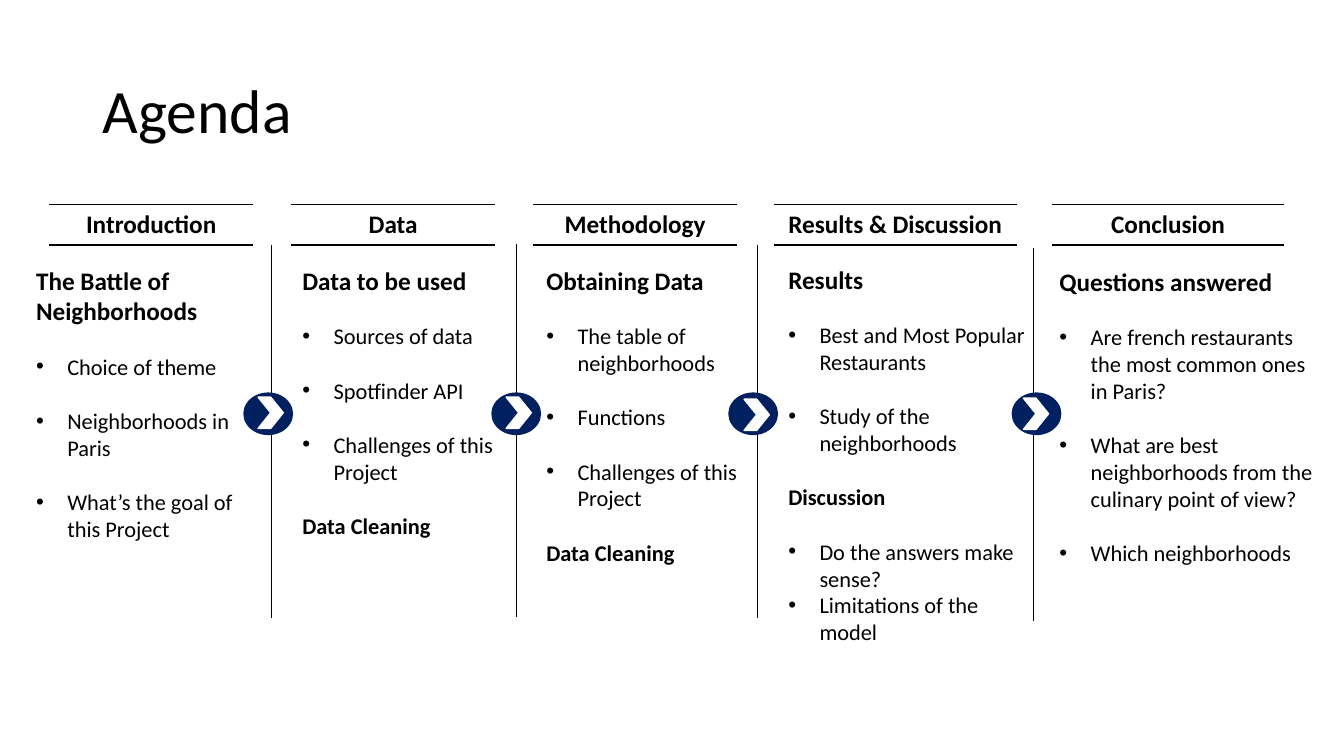
import pptx
import pptx.dml.color
import pptx.enum.shapes
import pptx.enum.text
import pptx.oxml
import pptx.oxml.ns
import pptx.util
from lxml import etree

Inches = pptx.util.Inches
Pt = pptx.util.Pt
RGBColor = pptx.dml.color.RGBColor
Shape = pptx.enum.shapes.MSO_SHAPE
Align = pptx.enum.text.PP_ALIGN
Anchor = pptx.enum.text.MSO_ANCHOR
qn = pptx.oxml.ns.qn

BLACK = RGBColor(0x00, 0x00, 0x00)
WHITE = RGBColor(0xFF, 0xFF, 0xFF)
NAVY = RGBColor(0x00, 0x20, 0x60)

HEAD, BULLET, SUBHEAD = "head", "bullet", "subhead"
GAP = 19.5  # one line of 16 pt text
FORMATS = {
    HEAD: dict(size=18, bold=True),
    BULLET: dict(size=16, bullet=True, before=GAP),
    SUBHEAD: dict(size=16, bold=True, before=GAP),
}

# heading, heading left and width, body (left, top, width, height), body lines
COLUMNS = [
    ("Introduction", 0.48, 2.04, (0.26, 2.58, 2.43, 3.4), [
        (HEAD, "The Battle of Neighborhoods"),
        (BULLET, "Choice of theme"),
        (BULLET, "Neighborhoods in Paris"),
        (BULLET, "What’s the goal of this Project")]),
    ("Data", 2.88, 2.04, (2.9, 2.58, 2.22, 4.17), [
        (HEAD, "Data to be used"),
        (BULLET, "Sources of data"),
        (BULLET, "Spotfinder API"),
        (BULLET, "Challenges of this Project"),
        (SUBHEAD, "Data Cleaning")]),
    ("Methodology", 5.28, 2.04, (5.32, 2.58, 2.18, 4.44), [
        (HEAD, "Obtaining Data"),
        (BULLET, "The table of neighborhoods"),
        (BULLET, "Functions"),
        (BULLET, "Challenges of this Project"),
        (SUBHEAD, "Data Cleaning")]),
    ("Results & Discussion", 7.67, 2.42, (7.72, 2.57, 2.56, 4.6), [
        (HEAD, "Results"),
        (BULLET, "Best and Most Popular Restaurants"),
        (BULLET, "Study of the neighborhoods"),
        (SUBHEAD, "Discussion"),
        (BULLET, "Do the answers make sense?"),
        (BULLET, "Limitations of the model", dict(before=0))]),
    ("Conclusion", 10.43, 2.31, (10.41, 2.59, 2.73, 4.17), [
        (HEAD, "Questions answered"),
        (BULLET, "Are french restaurants the most common ones in Paris?"),
        (BULLET, "What are best neighborhoods from the culinary point of view?"),
        (BULLET, "Which neighborhoods")]),
]

# divider x and top, ellipse left, chevron left and top
STEPS = [
    (2.69, 2.43, 2.42, 2.56, 3.94),
    (5.12, 2.42, 4.88, 5.02, 3.94),
    (7.51, 2.43, 7.23, 7.38, 3.96),
    (10.25, 2.46, 10.04, 10.15, 3.95),
]


def write(paragraph, text, size=16, bold=False, bullet=False, before=0,
          align=Align.LEFT, spacing=1.0, font="Calibri", color=BLACK):
    run = paragraph.add_run()
    run.text = text
    run.font.name = font
    run.font.size = Pt(size)
    run.font.bold = bold
    run.font.color.rgb = color
    paragraph.alignment = align
    paragraph.line_spacing = spacing
    paragraph.space_before = Pt(before)
    if bullet:
        properties = paragraph._p.get_or_add_pPr()
        properties.set("marL", str(Inches(0.31)))
        properties.set("indent", str(-Inches(0.31)))
        etree.SubElement(properties, qn("a:buFont"), typeface="Arial")
        etree.SubElement(properties, qn("a:buChar"), char="•")


class AgendaSlide:
    def __init__(self, slide, ink=BLACK, paper=WHITE, accent=NAVY):
        self.shapes = slide.shapes
        self.ink, self.paper, self.accent = ink, paper, accent

    def text(self, box, lines, anchor=Anchor.TOP):
        """Add a text box; each line is its text and its format."""
        frame = self.shapes.add_textbox(*map(Inches, box)).text_frame
        frame.word_wrap = True
        frame.vertical_anchor = anchor
        for number, (words, style) in enumerate(lines):
            paragraph = frame.add_paragraph() if number else frame.paragraphs[0]
            write(paragraph, words, **style)

    def heading(self, words, left, width):
        """Add a one-cell table ruled above and below."""
        table = self.shapes.add_table(
            1, 1, Inches(left), Inches(2.03), Inches(width), Inches(0.4)).table
        table.first_row = table.horz_banding = False
        cell = table.cell(0, 0)
        write(cell.text_frame.paragraphs[0], words, size=18, bold=True,
              align=Align.CENTER)
        properties = cell._tc.get_or_add_tcPr()
        for side, color in zip("LRTB", [self.paper] * 2 + [self.ink] * 2):
            border = etree.SubElement(properties, qn(f"a:ln{side}"), w=str(Pt(1)))
            fill = etree.SubElement(border, qn("a:solidFill"))
            etree.SubElement(fill, qn("a:srgbClr"), val=str(color))
        cell.fill.solid()
        cell.fill.fore_color.rgb = self.paper

    def divider(self, x, top):
        line = self.shapes.add_connector(
            pptx.enum.shapes.MSO_CONNECTOR.STRAIGHT,
            Inches(x), Inches(top), Inches(x), Inches(top + 3.7))
        line.line.color.rgb = self.ink
        line.line.width = Pt(0.5)
        etree.SubElement(line._element.spPr, qn("a:effectLst"))

    def shape(self, kind, box, color):
        shape = self.shapes.add_shape(kind, *map(Inches, box))
        shape.shadow.inherit = False
        shape.fill.solid()
        shape.fill.fore_color.rgb = color
        shape.line.color.rgb = color
        shape.line.width = Pt(1)

    def arrow_badge(self, left, chevron_left, chevron_top):
        self.shape(Shape.OVAL, (left, 3.9, 0.48, 0.41), self.accent)
        self.shape(Shape.CHEVRON, (chevron_left, chevron_top, 0.25, 0.31), self.paper)


def main():
    deck = pptx.Presentation()
    deck.slide_width, deck.slide_height = Inches(13.33), Inches(7.5)
    agenda = AgendaSlide(deck.slides.add_slide(deck.slide_layouts[6]))

    agenda.text((0.92, 0.4, 11.5, 1.45),
                [("Agenda", dict(size=44, spacing=0.9))], Anchor.MIDDLE)
    for heading, left, width, _, _ in COLUMNS:
        agenda.heading(heading, left, width)
    for x, top, *_ in STEPS:
        agenda.divider(x, top)
    for *_, box, lines in COLUMNS:
        agenda.text(box, [(words, dict(FORMATS[kind], **(changes[0] if changes else {})))
                          for kind, words, *changes in lines])
    for _, _, *badge in STEPS:
        agenda.arrow_badge(*badge)

    deck.save("out.pptx")


if __name__ == "__main__":
    main()
